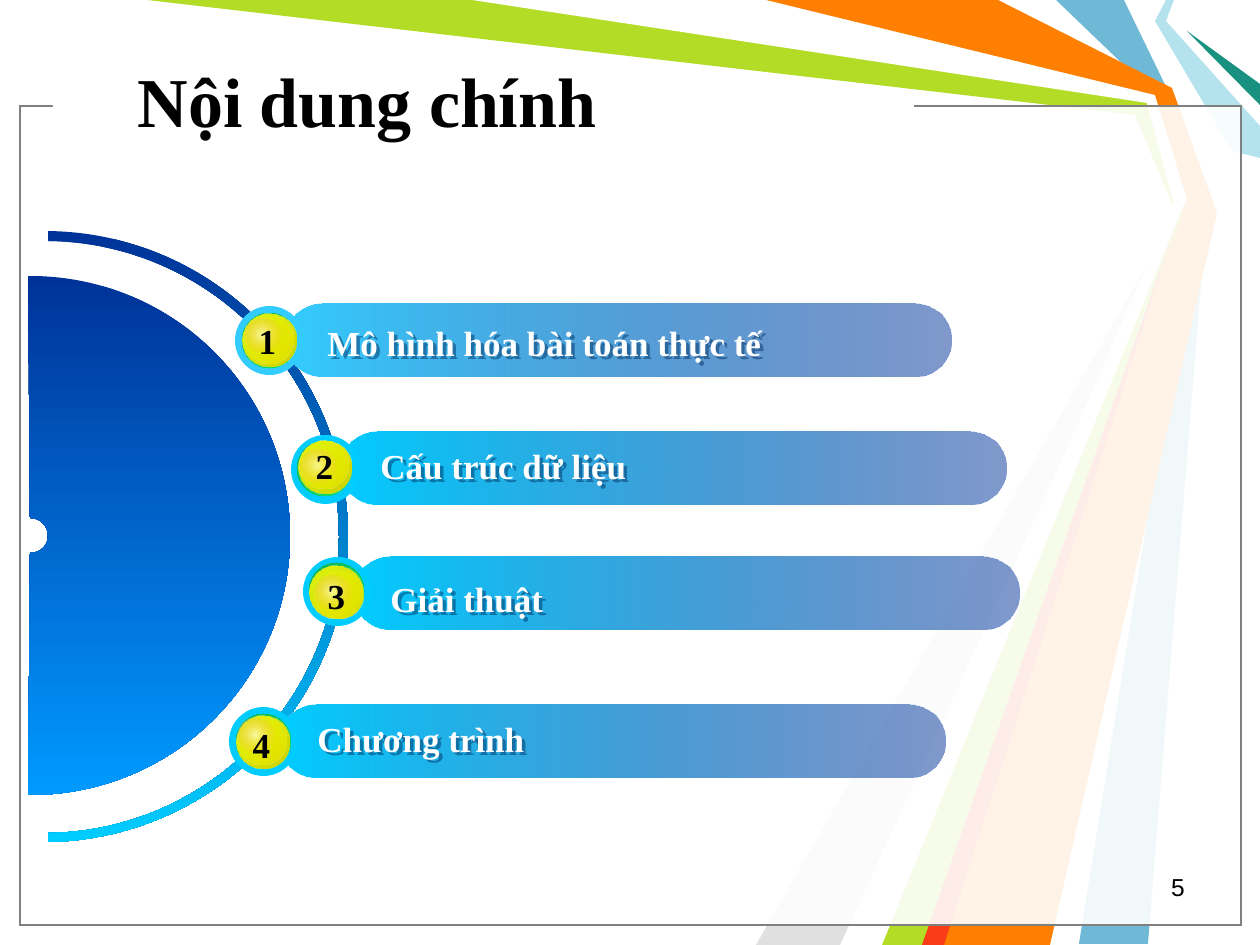
from dataclasses import dataclass

from lxml.etree import SubElement
from pptx import Presentation
from pptx.dml.color import RGBColor
from pptx.enum.shapes import MSO_SHAPE
from pptx.enum.text import MSO_ANCHOR, PP_ALIGN
from pptx.oxml.ns import qn
from pptx.util import Emu, Pt

SCALE = 914400 / 126
SERIF = "Times New Roman"


@dataclass(frozen=True)
class Stop:
    color: str
    alpha: int = 100


@dataclass(frozen=True)
class Gradient:
    start: Stop
    end: Stop
    angle: int = 0
    focus: tuple[int, ...] = ()


@dataclass(frozen=True)
class Layer:
    size: int
    fill: Gradient


@dataclass(frozen=True)
class Item:
    number: str
    label: str
    accent: str
    bar: tuple[int, int]
    ring: tuple[int, int]
    layers: tuple[tuple[int, int], ...]
    digit: tuple[int, int]
    text: tuple[int, int, int]


@dataclass(frozen=True)
class HalfDisc:
    left: int
    top: int
    size: int
    fill: Gradient
    segments: tuple[tuple[tuple[int, int], ...], ...]


RAYS = [
    ("6FB9D7", [(1124, 0), (1171, 97), (1207, 210), (1148, 944), (1079, 944),
                (1197, 210), (1155, 95), (1056, 0)]),
    ("B3DC27", [(147, 0), (483, 0), (1152, 98), (1187, 213), (935, 945),
                (872, 945), (1178, 218), (1135, 115)]),
    ("E0E0E0", [(840, 945), (1168, 228), (756, 945)]),
    ("FFFFFF", [(472, 0), (1147, 103), (1174, 204), (850, 945), (882, 945),
                (1186, 199), (1155, 95), (756, 0)]),
    ("B4E3EE", [(1166, 0), (1155, 21), (1232, 151), (1260, 158), (1260, 126),
                (1166, 21), (1174, 0)]),
    ("189180", [(1260, 105), (1187, 31), (1260, 84)]),
    ("FF7F00", [(766, 0), (998, 0), (1172, 88), (1217, 213), (1050, 945),
                (924, 945), (1187, 199), (1155, 95)]),
    ("F93D17", [(922, 945), (1174, 231), (944, 945)]),
]
HALF_DISCS = [
    HalfDisc(-262, 231, 611, Gradient(Stop("003399"), Stop("00CCFF")), (
        ((48, 241),),
        ((209, 243), (339, 374), (339, 537)),
        ((339, 698), (209, 831), (48, 833)),
        ((48, 842),),
        ((214, 839), (348, 703), (348, 537)),
        ((348, 369), (214, 233), (48, 231)))),
    HalfDisc(-229, 276, 519, Gradient(Stop("003399"), Stop("0099FF")), (
        ((30, 518),),
        ((40, 518), (48, 526), (48, 536)),
        ((48, 546), (40, 553), (30, 553)),
        ((28, 795),),
        ((30, 795),),
        ((174, 795), (290, 679), (290, 536)),
        ((290, 392), (174, 276), (30, 276)),
        ((28, 276),))),
]
LAYERS = [
    Layer(55, Gradient(Stop("10E470"), Stop("0CB056"), focus=(100, 100, 0, 0))),
    Layer(53, Gradient(Stop("FFFF00", 85), Stop("CFCF00"), 45)),
    Layer(35, Gradient(Stop("FFFFFF"), Stop("E9940B", 0), focus=(50, 50, 50, 50))),
    Layer(48, Gradient(Stop("FFFF00", 0), Stop("E1E100"), 45)),
]
ITEMS = [
    Item("1", "Mô hình hóa bài toán thực tế", "33CCFF", (286, 304), (235, 306),
         ((242, 313), (243, 314), (245, 318), (245, 316)), (246, 313), (315, 315, 462)),
    Item("2", "Cấu trúc dữ liệu", "00CCFF", (341, 432), (291, 435),
         ((297, 441), (299, 441), (300, 449), (300, 441)), (303, 438), (368, 438, 273)),
    Item("3", "Giải thuật", "00CCFF", (354, 557), (303, 557),
         ((309, 563), (310, 566), (315, 575), (315, 571)), (315, 568), (378, 571, 179)),
    Item("4", "Chương trình", "00CCFF", (280, 705), (229, 707),
         ((236, 714), (237, 716), (238, 718), (238, 717)), (240, 717), (305, 711, 234)),
]


def px(value: int) -> Emu:
    return Emu(round(value * SCALE))


def rgb(value: str) -> RGBColor:
    return RGBColor.from_string(value)


def add_color(parent, stop: Stop) -> None:
    color = SubElement(parent, qn("a:srgbClr"), val=stop.color)
    if stop.alpha < 100:
        SubElement(color, qn("a:alpha"), val=str(stop.alpha * 1000))


def paint(shape, fill: Stop | Gradient) -> None:
    shape.shadow.inherit = False
    shape.line.fill.background()
    if isinstance(fill, Stop):
        shape.fill.solid()
        shape.fill.fore_color.rgb = rgb(fill.color)
        solid = shape._element.spPr.find(qn("a:solidFill"))
        solid.remove(solid[0])
        add_color(solid, fill)
        return
    shape.fill.gradient()
    gradient = shape._element.spPr.find(qn("a:gradFill"))
    gradient.clear()
    gradient.set("rotWithShape", "1")
    stops = SubElement(gradient, qn("a:gsLst"))
    for position, stop in (("0", fill.start), ("100000", fill.end)):
        add_color(SubElement(stops, qn("a:gs"), pos=position), stop)
    if fill.focus:
        radial = SubElement(gradient, qn("a:path"), path="circle")
        edges = {side: str(value * 1000) for side, value in zip("ltrb", fill.focus)}
        SubElement(radial, qn("a:fillToRect"), **edges)
    else:
        SubElement(gradient, qn("a:lin"), ang=str(fill.angle * 60000), scaled="1")


def add_preset(page, kind, left: int, top: int, width: int, height: int,
               fill: Stop | Gradient):
    shape = page.shapes.add_shape(kind, px(left), px(top), px(width), px(height))
    paint(shape, fill)
    return shape


def add_outline(page, points: list, fill: Stop | Gradient):
    builder = page.shapes.build_freeform(*points[0], scale=SCALE)
    builder.add_line_segments(points[1:], close=True)
    shape = builder.convert_to_shape()
    paint(shape, fill)
    return shape


def add_half_disc(page, disc: HalfDisc) -> None:
    shape = add_outline(page, [segment[-1] for segment in disc.segments], disc.fill)
    shape.left, shape.top = px(disc.left), px(disc.top)
    shape.width = shape.height = px(disc.size)
    shape.rotation = 90
    outline = next(shape._element.iter(qn("a:path")))
    outline.clear()
    outline.set("w", str(disc.size))
    outline.set("h", str(disc.size))
    for index, segment in enumerate(disc.segments):
        tag = "a:cubicBezTo" if len(segment) == 3 else "a:lnTo" if index else "a:moveTo"
        step = SubElement(outline, qn(tag))
        for x, y in segment:
            SubElement(step, qn("a:pt"), x=str(y - disc.top),
                       y=str(disc.left + disc.size - x))
    SubElement(outline, qn("a:close"))


def add_span(para, text: str, size: int, color: str, font: str = SERIF,
             bold: bool = True) -> None:
    span = para.add_run()
    span.text = text
    span.font.name = font
    span.font.size = Pt(size)
    span.font.bold = bold
    span.font.color.rgb = rgb(color)


def add_text(page, left: int, top: int, width: int, height: int, align, wrap: bool = True):
    box = page.shapes.add_textbox(px(left), px(top), px(width), px(height))
    box.text_frame.word_wrap = wrap
    para = box.text_frame.paragraphs[0]
    para.alignment = align
    return box, para


def add_text_shadow(box) -> None:
    effects = SubElement(box._element.spPr, qn("a:effectLst"))
    shadow = SubElement(effects, qn("a:outerShdw"), dist="35921", dir="2700000",
                        algn="ctr", rotWithShape="0")
    add_color(shadow, Stop("003366", 50))


def add_item(page, item: Item) -> None:
    bar = add_preset(page, MSO_SHAPE.ROUNDED_RECTANGLE, *item.bar, 665, 73,
                     Gradient(Stop(item.accent), Stop("003399", 50)))
    bar.adjustments[0] = 0.5
    add_preset(page, MSO_SHAPE.OVAL, *item.ring, 69, 69, Stop(item.accent))
    for place, layer in zip(item.layers, LAYERS):
        add_preset(page, MSO_SHAPE.OVAL, *place, layer.size, layer.size, layer.fill)
    _, para = add_text(page, *item.digit, 43, 55, PP_ALIGN.CENTER, wrap=False)
    add_span(para, item.number, 20, "000000")
    box, para = add_text(page, *item.text, 55, PP_ALIGN.LEFT)
    add_span(para, item.label, 20, "FFFFFF")
    add_text_shadow(box)


def add_title(page) -> None:
    title = page.shapes.title
    title.left, title.top, title.width, title.height = map(px, (125, 21, 868, 158))
    title.text_frame.vertical_anchor = MSO_ANCHOR.MIDDLE
    para = title.text_frame.paragraphs[0]
    para.alignment = PP_ALIGN.LEFT
    add_span(para, "Nội dung chính", 40, "000000")
    page.shapes._spTree.append(title._element)


def main() -> None:
    deck = Presentation()
    deck.slide_width, deck.slide_height = px(1260), px(945)
    page = deck.slides.add_slide(deck.slide_layouts[5])
    for color, points in RAYS:
        add_outline(page, points, Stop(color))
    for color in ("000000", "808080"):
        frame = add_preset(page, MSO_SHAPE.RECTANGLE, 20, 106, 1221, 819, Stop("FFFFFF", 69))
        frame.line.color.rgb = rgb(color)
        frame.line.width = Pt(0.75)
    add_preset(page, MSO_SHAPE.RECTANGLE, 53, 93, 861, 21, Stop("FFFFFF"))
    add_title(page)
    _, para = add_text(page, 903, 866, 294, 42, PP_ALIGN.RIGHT)
    add_span(para, "5", 14, "000000", "Arial", bold=False)
    for disc in HALF_DISCS:
        add_half_disc(page, disc)
    for item in ITEMS:
        add_item(page, item)
    deck.save("out.pptx")


if __name__ == "__main__":
    main()
